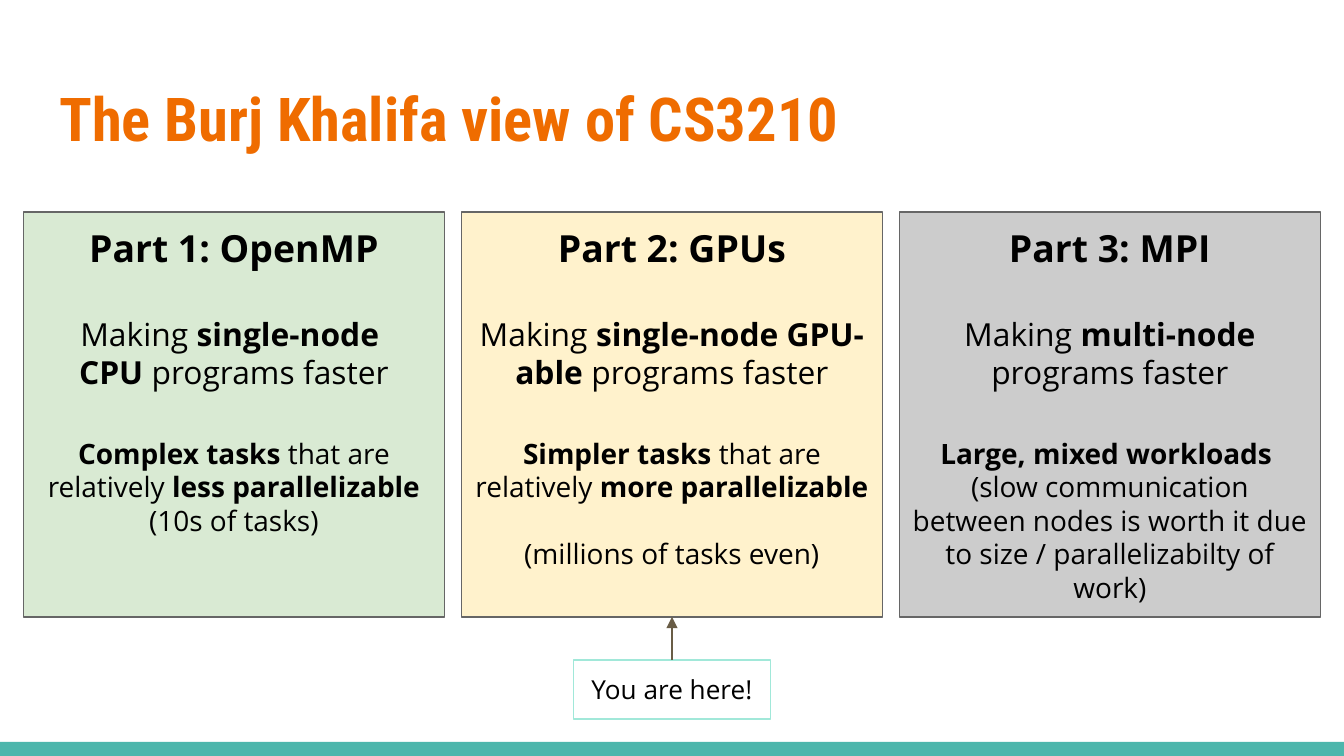
import copy

import pptx
import pptx.dml.color
import pptx.enum.shapes
import pptx.enum.text
import pptx.oxml
import pptx.oxml.ns
import pptx.util

PAGE_WIDTH, PAGE_HEIGHT = 1344, 756
SCALE = 9144000 / PAGE_WIDTH
BODY_FONT = "Open Sans"
TITLE = "The Burj Khalifa view of CS3210"
MARKER = "You are here!"
PANELS = [
    ("D9EAD3", [
        (20, [("Part 1: OpenMP", True)]),
        (17, [("Making ", False), ("single-node \nCPU", True), (" programs faster", False)]),
        (15, [("Complex tasks ", True), ("that are relatively ", False),
              ("less parallelizable ", True), ("(10s of tasks)", False)]),
    ]),
    ("FFF2CC", [
        (20, [("Part 2: GPUs", True)]),
        (17, [("Making ", False), ("single-node GPU-able", True), (" programs faster", False)]),
        (15, [("Simpler tasks ", True), ("that are relatively ", False),
              ("more parallelizable \n", True), ("(millions of tasks even)", False)]),
    ]),
    ("CCCCCC", [
        (20, [("Part 3: MPI", True)]),
        (17, [("Making ", False), ("multi-node", True), (" programs faster", False)]),
        (15, [("Large, mixed workloads \n", True),
              ("(slow communication between nodes is worth it due to size / "
               "parallelizabilty of work)", False)]),
    ]),
]
PANEL_TOP, PANEL_WIDTH, PANEL_HEIGHT, PANEL_GAP = 212, 421, 405, 17
MARKER_TOP, MARKER_WIDTH, MARKER_HEIGHT = 660, 197, 59
BAR_HEIGHT = 14
PARAGRAPH_GAP = 24


def px(length):
    return pptx.util.Emu(round(length * SCALE))


def color(value):
    return pptx.dml.color.RGBColor.from_string(value)


def style(span, size, bold=False, ink="000000", font=BODY_FONT):
    span.font.name = font
    span.font.size = pptx.util.Pt(size)
    span.font.bold = bold
    span.font.color.rgb = color(ink)


def set_frame(box, anchor):
    frame = box.text_frame
    frame.word_wrap = True
    frame.vertical_anchor = anchor
    frame.margin_left = frame.margin_right = pptx.util.Inches(0.1)
    frame.margin_top = frame.margin_bottom = pptx.util.Inches(0.1)
    return frame


def add_box(page, left, top, width, height, fill=None, line=None):
    box = page.shapes.add_shape(pptx.enum.shapes.MSO_SHAPE.RECTANGLE,
                                px(left), px(top), px(width), px(height))
    box.shadow.inherit = False
    if fill:
        box.fill.solid()
        box.fill.fore_color.rgb = color(fill)
    else:
        box.fill.background()
    if line:
        box.line.color.rgb = color(line)
        box.line.width = pptx.util.Pt(0.75)
    else:
        box.line.fill.background()
    return box


def add_spans(para, size, parts):
    for text, bold in parts:
        for index, piece in enumerate(text.split("\n")):
            if index:
                para.add_line_break()
                para._p[-1].append(copy.deepcopy(span.font._element))
            if piece:
                span = para.add_run()
                span.text = piece
                style(span, size, bold)


def add_panel(page, left, fill, paragraphs):
    box = add_box(page, left, PANEL_TOP, PANEL_WIDTH, PANEL_HEIGHT, fill, "666666")
    frame = set_frame(box, pptx.enum.text.MSO_ANCHOR.TOP)
    for index, (size, parts) in enumerate(paragraphs):
        para = frame.add_paragraph() if index else frame.paragraphs[0]
        para.alignment = pptx.enum.text.PP_ALIGN.CENTER
        if index:
            para.space_before = pptx.util.Pt(PARAGRAPH_GAP)
        add_spans(para, size, parts)


def add_arrow(page, x, start, end):
    arrow = page.shapes.add_connector(pptx.enum.shapes.MSO_CONNECTOR.STRAIGHT,
                                      px(x), px(start), px(x), px(end))
    arrow.line.color.rgb = color("695D46")
    arrow.line.width = pptx.util.Pt(0.75)
    head = pptx.oxml.parse_xml(
        f'<a:tailEnd {pptx.oxml.ns.nsdecls("a")} type="triangle"/>')
    arrow.line._get_or_add_ln().append(head)
    effects = pptx.oxml.parse_xml(f'<a:effectLst {pptx.oxml.ns.nsdecls("a")}/>')
    arrow._element.spPr.append(effects)


def main():
    deck = pptx.Presentation()
    deck.slide_width, deck.slide_height = px(PAGE_WIDTH), px(PAGE_HEIGHT)
    page = deck.slides.add_slide(deck.slide_layouts[6])

    add_box(page, 0, PAGE_HEIGHT - BAR_HEIGHT, PAGE_WIDTH, BAR_HEIGHT, "4DB6AC")

    title = page.shapes.add_textbox(px(46), px(66), px(1252), px(103))
    frame = set_frame(title, pptx.enum.text.MSO_ANCHOR.MIDDLE)
    frame.text = TITLE
    style(frame.paragraphs[0].runs[0], 32.4, True, "EF6C00", "Roboto Condensed")

    pitch = PANEL_WIDTH + PANEL_GAP
    first_left = (PAGE_WIDTH - PANEL_WIDTH) / 2 - pitch
    for index, (fill, paragraphs) in enumerate(PANELS):
        add_panel(page, first_left + index * pitch, fill, paragraphs)

    center = PAGE_WIDTH / 2
    marker = add_box(page, center - MARKER_WIDTH / 2, MARKER_TOP,
                     MARKER_WIDTH, MARKER_HEIGHT, line="A1E8D9")
    frame = set_frame(marker, pptx.enum.text.MSO_ANCHOR.TOP)
    frame.text = MARKER
    frame.paragraphs[0].alignment = pptx.enum.text.PP_ALIGN.CENTER
    style(frame.paragraphs[0].runs[0], 14)

    add_arrow(page, center, MARKER_TOP, PANEL_TOP + PANEL_HEIGHT)
    deck.save("out.pptx")


if __name__ == "__main__":
    main()
